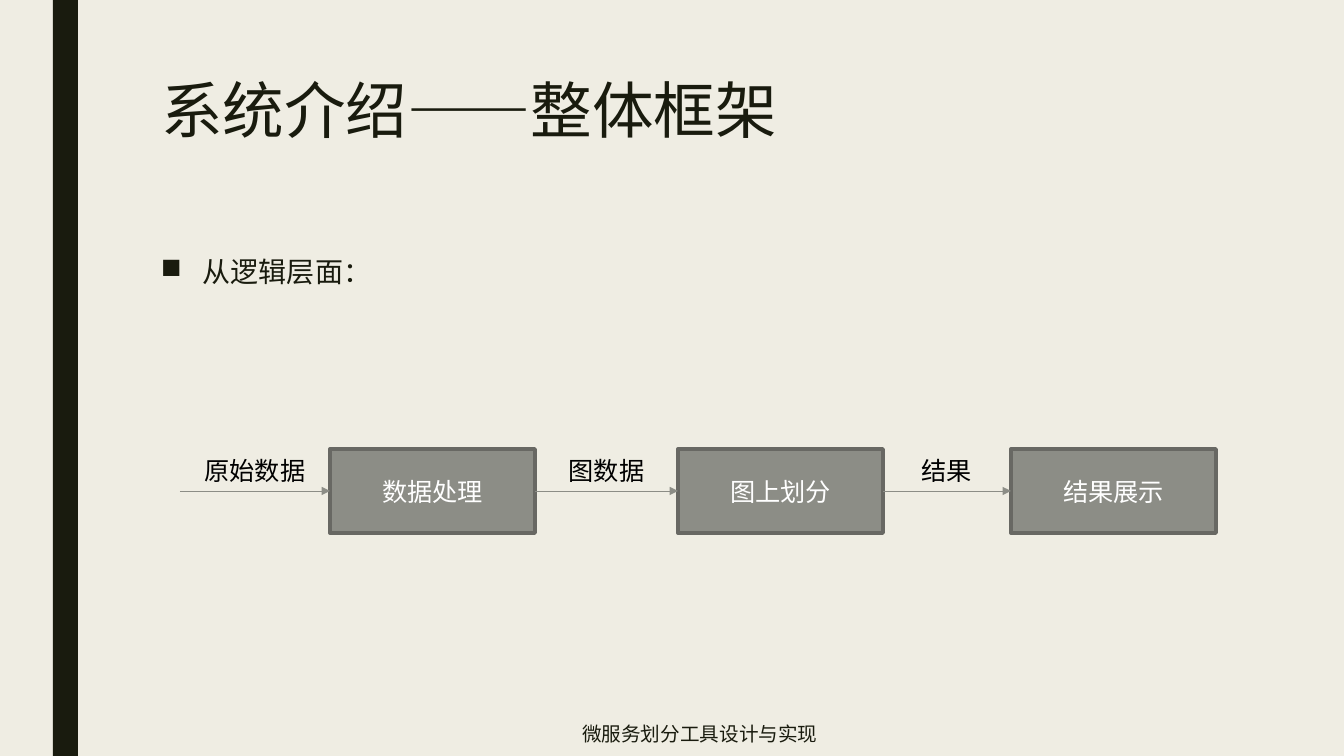
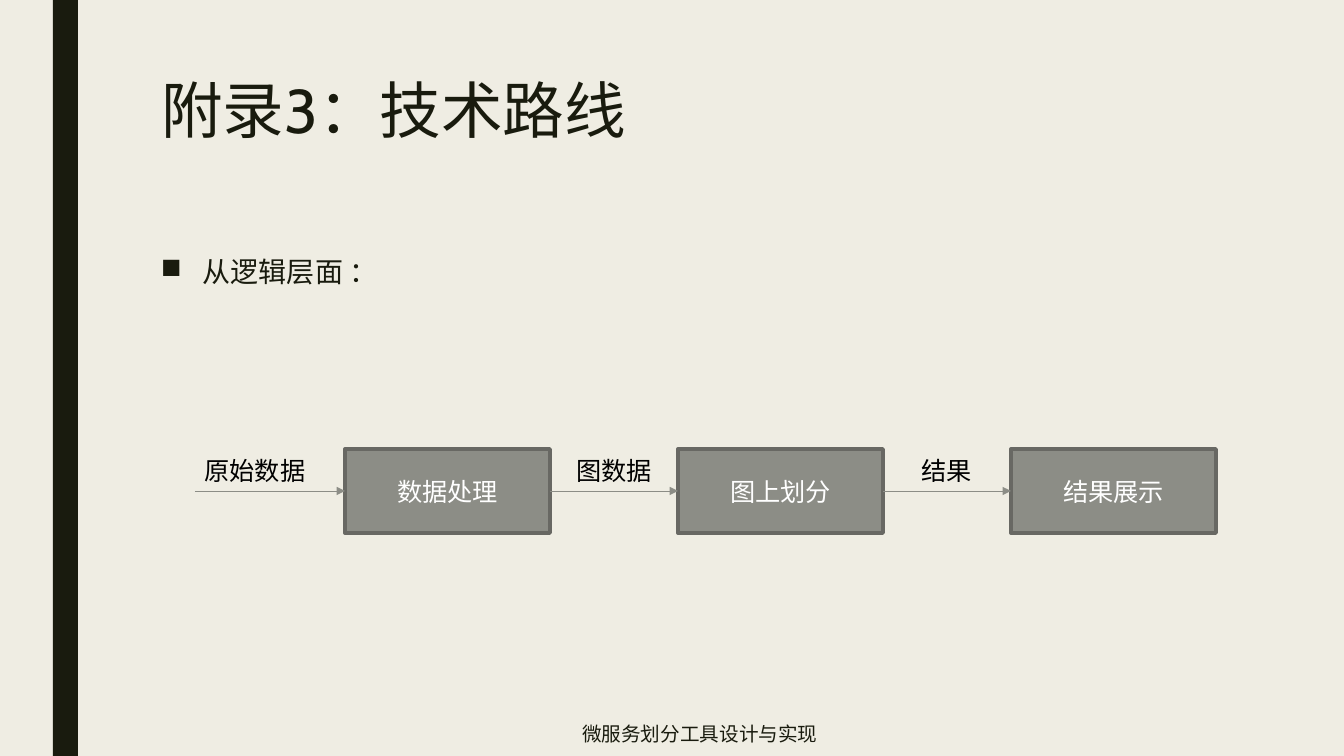
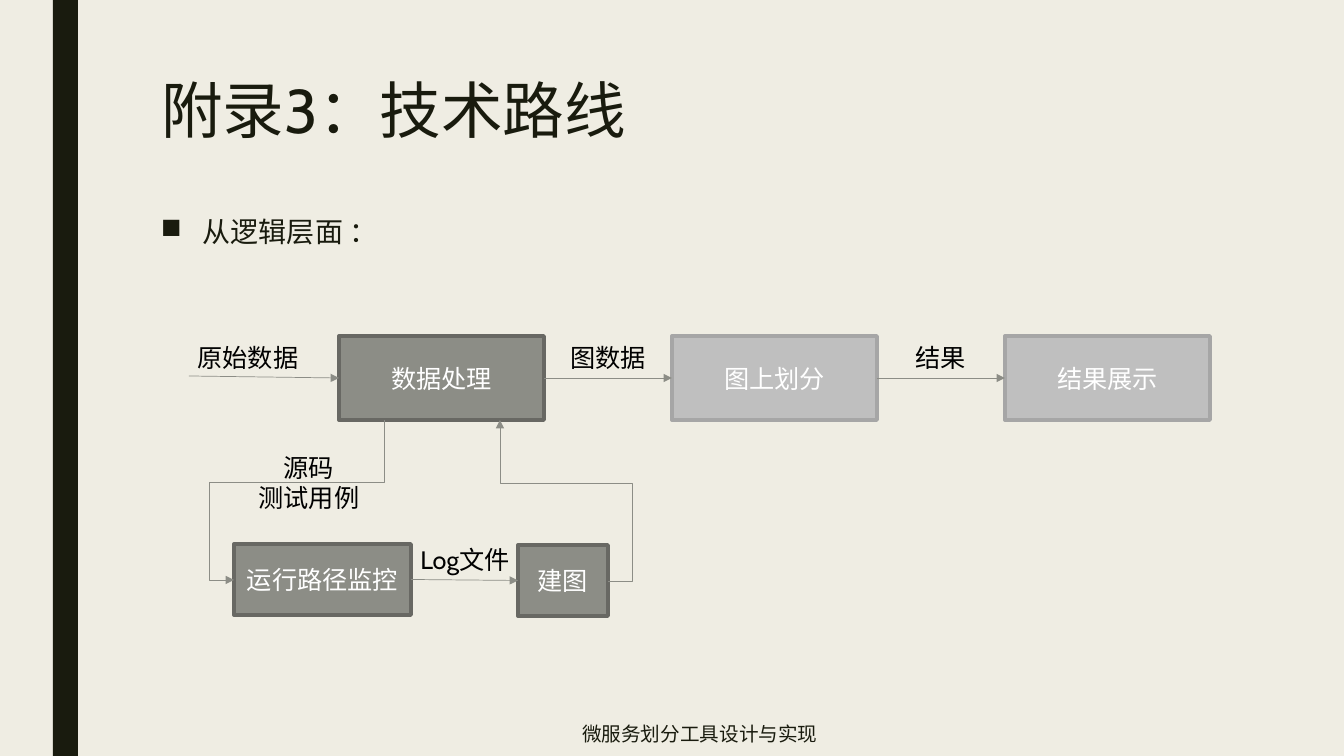
from dataclasses import dataclass

from lxml.etree import SubElement
from pptx import Presentation
from pptx.dml.color import RGBColor
from pptx.enum.shapes import MSO_CONNECTOR, MSO_SHAPE
from pptx.enum.text import MSO_ANCHOR, MSO_AUTO_SIZE, PP_ALIGN
from pptx.oxml.ns import qn
from pptx.util import Emu, Pt


@dataclass(frozen=True)
class Theme:
    """Colours, type sizes and line widths shared by every slide."""
    font: str = "Cabin"
    paper: str = "EFEDE3"
    ink: str = "191B0E"
    black: str = "000000"
    white: str = "FFFFFF"
    active: tuple = ("8C8D86", "686863")
    muted: tuple = ("BFBFBF", "A6A6A6")
    arrow: str = "8C8D86"
    title_size: int = 44
    body_size: int = 20
    label_size: int = 18
    footer_size: int = 14
    border: float = 2.75
    arrow_width: float = 0.5


THEME = Theme()
PAGE_WIDTH, PAGE_HEIGHT = 1344, 756
SCALE = 12192000 / PAGE_WIDTH

BAND = (53, 0, 25, PAGE_HEIGHT)
TITLE = (151, 76, 1058, 163)
FOOTER = (565, 714, 270, 42)
FOOTER_TEXT = "微服务划分工具设计与实现"
BULLET_INDENT = 42

STEPS = ("数据处理", "图上划分", "结果展示")
FLOW_LABELS = ("图数据", "结果")
ENTRY_LABEL = "原始数据"
STEP_WIDTH, STEP_HEIGHT, STEP_PITCH = 205, 84, 333
ENTRY_LENGTH = 150
CHARACTER_WIDTH, LABEL_PADDING, LABEL_LINE = 25, 22, 31

SLIDES = (
    dict(title="系统介绍——整体框架", bullet="从逻辑层面：", body=(151, 252, 1058, 395),
         lefts=(330, 678, 1011), top=449, entry_center=255, entry_rise=0,
         muted=(), detail=False),
    dict(title="附录3：技术路线", bullet="从逻辑层面 ：", body=(151, 252, 1058, 395),
         lefts=[345 + STEP_PITCH * i for i in range(3)], top=449,
         entry_center=255, entry_rise=0, muted=(), detail=False),
    dict(title="附录3：技术路线", bullet="从逻辑层面 ：", body=(151, 212, 1058, 43),
         lefts=[339 + STEP_PITCH * i for i in range(3)], top=336,
         entry_center=248, entry_rise=2, muted=STEPS[1:], detail=True),
)

MONITOR = ("运行路径监控", (234, 544, 177, 71))
GRAPH = ("建图", (518, 545, 90, 71))
SOURCE_LABEL = dict(lines=("源码", "测试用例"), center=309, top=447)
LOG_LABEL = dict(lines=("Log文件",), center=465, top=539, width=110)
ELBOWS = (
    dict(begin=(384, 420), end=(234, 580), turn=(209, 482), vertical=True),
    dict(begin=(608, 581), end=(500, 420), turn=(633, 483), vertical=False),
)


def px(*lengths):
    """Turn pixel lengths into EMU."""
    return [Emu(round(length * SCALE)) for length in lengths]


def paint(fill, color):
    """Give a fill one solid colour."""
    fill.solid()
    fill.fore_color.rgb = RGBColor.from_string(color)


def write(frame, lines, size, color, align, anchor=MSO_ANCHOR.TOP, spacing=None):
    """Fill a text frame with evenly formatted paragraphs."""
    frame.vertical_anchor = anchor
    for index, line in enumerate(lines):
        para = frame.paragraphs[0] if index == 0 else frame.add_paragraph()
        para.text = line
        para.alignment = align
        para.line_spacing = spacing
        para.font.size = Pt(size)
        para.font.name = THEME.font
        para.font.color.rgb = RGBColor.from_string(color)


def add_rectangle(page, area, fill, border=None):
    """Draw a flat rectangle with an optional border."""
    box = page.shapes.add_shape(MSO_SHAPE.RECTANGLE, *px(*area))
    box.shadow.inherit = False
    paint(box.fill, fill)
    if border:
        paint(box.line.fill, border)
        box.line.width = Pt(THEME.border)
    else:
        box.line.fill.background()
    return box


def add_step(page, text, area, colors=THEME.active):
    """Draw one step of the flow."""
    box = add_rectangle(page, area, *colors)
    box.text_frame.word_wrap = True
    write(box.text_frame, [text], THEME.label_size, THEME.white,
          PP_ALIGN.CENTER, MSO_ANCHOR.MIDDLE)
    return box


def add_label(page, lines, center, top, width=None):
    """Centre a label on a column; its width follows the longest line."""
    width = width or CHARACTER_WIDTH * max(map(len, lines)) + LABEL_PADDING
    height = LABEL_LINE * len(lines) + 10
    box = page.shapes.add_textbox(*px(center - width / 2, top, width, height))
    box.text_frame.word_wrap = False
    box.text_frame.auto_size = MSO_AUTO_SIZE.SHAPE_TO_FIT_TEXT
    write(box.text_frame, lines, THEME.label_size, THEME.black, PP_ALIGN.CENTER)


def add_arrow(page, begin, end, kind=MSO_CONNECTOR.STRAIGHT):
    """Draw a thin connector with an arrowhead at its end."""
    arrow = page.shapes.add_connector(kind, *px(*begin, *end))
    paint(arrow.line.fill, THEME.arrow)
    arrow.line.width = Pt(THEME.arrow_width)
    properties = arrow.element.spPr
    SubElement(properties.find(qn("a:ln")), qn("a:tailEnd"), type="triangle")
    SubElement(properties, qn("a:effectLst"))
    return arrow


def join(page, first, second):
    """Connect the right side of one box to the left side of another."""
    arrow = add_arrow(page, (0, 0), (0, 0))
    arrow.begin_connect(first, 3)
    arrow.end_connect(second, 1)


def add_elbow(page, begin, end, turn, vertical):
    """Draw a three-bend arrow that passes through a turning point."""
    (x0, y0), (x1, y1) = begin, end
    bends = [(turn[0] - x0) / (x1 - x0), (turn[1] - y0) / (y1 - y0)]
    if vertical:
        center_x, center_y = (x0 + x1) / 2, (y0 + y1) / 2
        half_x, half_y = (x1 - x0) / 2, (y1 - y0) / 2
        begin = (center_x - half_y, center_y + half_x)
        end = (center_x + half_y, center_y - half_x)
        bends.reverse()
    arrow = add_arrow(page, begin, end, MSO_CONNECTOR.ELBOW)
    properties = arrow.element.spPr
    if vertical:
        properties.find(qn("a:xfrm")).set("rot", "5400000")
    geometry = properties.find(qn("a:prstGeom"))
    geometry.set("prst", "bentConnector4")
    guides = geometry.find(qn("a:avLst"))
    for number, bend in enumerate(bends, 1):
        SubElement(guides, qn("a:gd"), name=f"adj{number}",
                   fmla=f"val {round(bend * 100000)}")


def add_title(page, text):
    """Place and format the title placeholder."""
    title = page.shapes.title
    title.left, title.top, title.width, title.height = px(*TITLE)
    title.text_frame.auto_size = MSO_AUTO_SIZE.NONE
    write(title.text_frame, [text], THEME.title_size, THEME.ink,
          PP_ALIGN.LEFT, spacing=0.89)


def add_bullet(page, text, area):
    """Write the bulleted line under the title."""
    frame = page.shapes.add_textbox(*px(*area)).text_frame
    frame.word_wrap = True
    properties = frame.paragraphs[0]._p.get_or_add_pPr()
    indent = px(BULLET_INDENT)[0]
    properties.set("marL", str(indent))
    properties.set("indent", str(-indent))
    SubElement(properties, qn("a:buChar"), char="■")
    write(frame, [text], THEME.body_size, THEME.ink, PP_ALIGN.LEFT, spacing=0.94)


def add_footer(page):
    """Write the footer shared by all slides."""
    frame = page.shapes.add_textbox(*px(*FOOTER)).text_frame
    frame.word_wrap = True
    write(frame, [FOOTER_TEXT], THEME.footer_size, THEME.ink,
          PP_ALIGN.CENTER, MSO_ANCHOR.MIDDLE, 0.89)


def add_flow(page, content):
    """Draw the main row of steps, arrows and labels."""
    lefts, top = content["lefts"], content["top"]
    boxes = [add_step(page, text, (left, top, STEP_WIDTH, STEP_HEIGHT),
                      THEME.muted if text in content["muted"] else THEME.active)
             for text, left in zip(STEPS, lefts)]
    middle = top + STEP_HEIGHT / 2
    entry = add_arrow(page, (lefts[0] - ENTRY_LENGTH, middle - content["entry_rise"]),
                      (lefts[0], middle))
    entry.end_connect(boxes[0], 1)
    add_label(page, [ENTRY_LABEL], content["entry_center"], top + 1)
    for index, text in enumerate(FLOW_LABELS):
        join(page, boxes[index], boxes[index + 1])
        center = (lefts[index] + STEP_WIDTH + lefts[index + 1]) / 2
        add_label(page, [text], center, top + 1)


def add_detail(page):
    """Draw the loop that expands the data processing step."""
    join(page, add_step(page, *MONITOR), add_step(page, *GRAPH))
    for elbow in ELBOWS:
        add_elbow(page, **elbow)
    for label in (SOURCE_LABEL, LOG_LABEL):
        add_label(page, **label)


def style_master(deck, page):
    """Put the paper colour and the side band on the slide master."""
    master = deck.slide_master
    paint(master.background.fill, THEME.paper)
    band = add_rectangle(page, BAND, THEME.ink)
    master.shapes.element.append(band.element)


def main():
    """Build and save the deck."""
    deck = Presentation()
    deck.slide_width, deck.slide_height = px(PAGE_WIDTH, PAGE_HEIGHT)
    for index, content in enumerate(SLIDES):
        page = deck.slides.add_slide(deck.slide_layouts[5])
        if index == 0:
            style_master(deck, page)
        add_title(page, content["title"])
        add_flow(page, content)
        add_bullet(page, content["bullet"], content["body"])
        if content["detail"]:
            add_detail(page)
        add_footer(page)
    deck.save("out.pptx")


if __name__ == "__main__":
    main()
